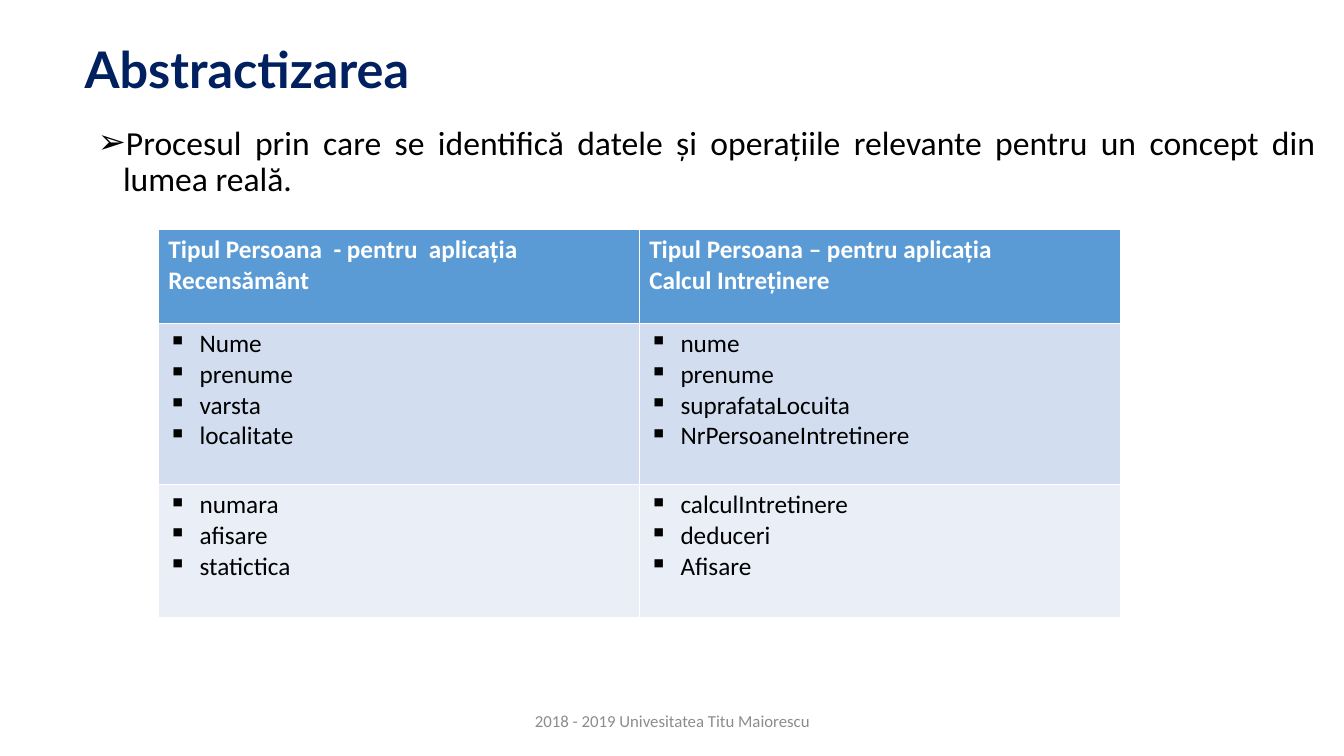
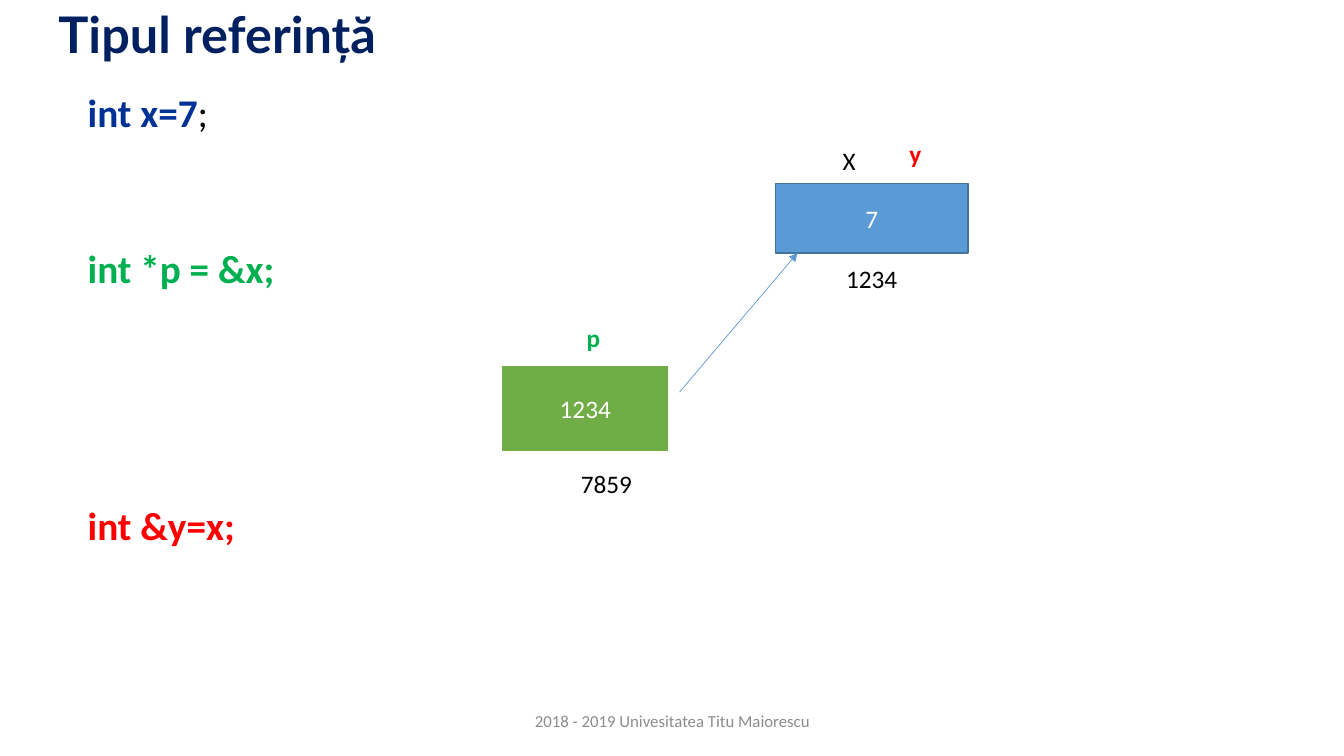
from lxml import etree
from pptx import Presentation
from pptx import util as u
from pptx.dml import color
from pptx.enum import shapes, text
from pptx.oxml import ns

PX = 9144
NAVY, BLUE, GREEN, RED = "002060", "5B9BD5", "00B050", "FF0000"
BLACK, WHITE, GRAY = "000000", "FFFFFF", "8C8C8C"
LEFT, MID, JUST = text.PP_ALIGN.LEFT, text.PP_ALIGN.CENTER, text.PP_ALIGN.JUSTIFY
TOP, HALF = text.MSO_ANCHOR.TOP, text.MSO_ANCHOR.MIDDLE
FOOT = "2018 - 2019 Univesitatea Titu Maiorescu"
CELLS = [
    [["Tipul Persoana  - pentru  aplicația Recensământ"],
     ["Tipul Persoana – pentru aplicația", "Calcul Intreținere"]],
    [["Nume", "prenume", "varsta", "localitate"],
     ["nume", "prenume", "suprafataLocuita", "NrPersoaneIntretinere"]],
    [["numara", "afisare", "statictica"],
     ["calculIntretinere", "deduceri", "Afisare"]],
]


def px(n):
    """Turn px into EMU."""
    return u.Emu(n * PX)


def rgb(tone):
    """Make a colour from a hex string."""
    return color.RGBColor.from_string(tone)


def sub(node, tag, **attrs):
    """Append a DrawingML element."""
    return etree.SubElement(node, ns.qn(tag), **attrs)


def write(frame, line, size=18, tone=BLACK, bold=False, face="Calibri",
          align=LEFT, lead=1.0, gap=0, mark=None, left=0, hang=0, join=False):
    """Add a paragraph, or join a run to the last one."""
    para = frame.paragraphs[-1]
    if not join:
        if para.runs:
            para = frame.add_paragraph()
        para.alignment, para.line_spacing = align, lead
        para.space_before = u.Pt(gap)
        props = para._p.get_or_add_pPr()
        props.set("marL", str(px(left)))
        props.set("indent", str(px(-hang)))
        if mark:
            sub(props, "a:buChar", char=mark)
        else:
            sub(props, "a:buNone")
    run = para.add_run()
    run.text = line
    font = run.font
    font.size, font.bold, font.name = u.Pt(size), bold, face
    font.color.rgb = rgb(tone)


def setup(shape, spot, anchor):
    """Place a shape and return its text frame."""
    shape.left, shape.top, shape.width, shape.height = map(px, spot)
    frame = shape.text_frame
    frame.word_wrap = True
    frame.auto_size = text.MSO_AUTO_SIZE.NONE
    frame.vertical_anchor = anchor
    return frame


def label(tree, spot, line, anchor=TOP, **style):
    """Add a text box."""
    box = tree.add_textbox(*map(px, spot))
    write(setup(box, spot, anchor), line, **style)


def block(tree, spot, line, fill, edge, width):
    """Add a filled rectangle with centred text."""
    rect = tree.add_shape(shapes.MSO_SHAPE.RECTANGLE, *map(px, spot))
    rect.shadow.inherit = False
    rect.fill.solid()
    rect.fill.fore_color.rgb = rgb(fill)
    rect.line.color.rgb = rgb(edge)
    rect.line.width = u.Pt(width)
    write(setup(rect, spot, HALF), line, tone=WHITE, align=MID)


def arrow(tree, start, end, tone):
    """Add a thin line with a head at its end."""
    line = tree.add_connector(shapes.MSO_CONNECTOR.STRAIGHT, *map(px, start + end))
    line.line.color.rgb = rgb(tone)
    line.line.width = u.Pt(0.5)
    sub(line.line._get_or_add_ln(), "a:tailEnd", type="triangle")
    sub(line._element.spPr, "a:effectLst")


def page(deck, name, head, body):
    """Add a slide with title and footer; return it and its body frame."""
    slide = deck.slides.add_slide(deck.slide_layouts[1])
    write(setup(slide.shapes.title, head, HALF), name, size=36, tone=NAVY,
          bold=True, face="Lato", lead=0.9)
    frame = setup(slide.placeholders[1], body, TOP)
    label(slide.shapes, (442, 695, 450, 40), FOOT, HALF,
          size=12, tone=GRAY, align=MID)
    return slide, frame


def grid(slide, spot, rows):
    """Add the table with a header row and bulleted cells."""
    table = slide.shapes.add_table(len(CELLS), len(CELLS[0]), *map(px, spot)).table
    for r, (tall, fill) in enumerate(rows):
        table.rows[r].height = px(tall)
        style = dict(mark="▪", left=31, hang=31) if r else dict(tone=WHITE, bold=True)
        for c, lines in enumerate(CELLS[r]):
            cell = table.cell(r, c)
            cell.fill.solid()
            cell.fill.fore_color.rgb = rgb(fill)
            for line in lines:
                write(cell.text_frame, line, **style)


def concept(deck):
    """Build the slide on abstraction."""
    slide, body = page(deck, "Abstractizarea", (74, 23, 940, 97), (37, 120, 1278, 569))
    write(body, "Procesul prin care se identifică datele și operațiile relevante "
          "pentru un concept din lumea reală.", size=24, align=JUST, lead=0.9,
          mark="➢", left=75, hang=25)
    grid(slide, (157, 228, 954, 385), [(93, BLUE), (160, "D2DEEF"), (132, "EAEFF7")])


def refs(deck):
    """Build the slide on references."""
    slide, body = page(deck, "Tipul referință", (48, -9, 1242, 92), (51, 92, 1150, 600))
    code = dict(size=28, align=JUST, lead=0.8, left=26)
    write(body, "int x=7", tone="003296", bold=True, **code)
    write(body, ";", size=28, join=True)
    write(body, "int *p = &x;", tone=GREEN, bold=True, gap=84, **code)
    write(body, "int &y=x;", tone=RED, bold=True, gap=157, **code)

    tree = slide.shapes.add_group_shape().shapes
    block(tree, (769, 182, 191, 69), "7", BLUE, "43739E", 1)
    label(tree, (826, 139, 68, 43), "X")
    label(tree, (791, 256, 147, 43), "1234", align=MID)
    block(tree, (497, 362, 167, 87), "1234", "70AD47", WHITE, 1.5)
    label(tree, (493, 315, 191, 43), "p", tone=GREEN, bold=True, align=MID)
    label(tree, (506, 460, 191, 43), "7859", align=MID)
    arrow(tree, (674, 389), (791, 251), BLUE)
    label(slide.shapes, (892, 132, 53, 40), "y", tone=RED, bold=True)


def main():
    """Build and save the deck."""
    deck = Presentation()
    deck.slide_width, deck.slide_height = px(1333), px(750)
    concept(deck)
    refs(deck)
    deck.save("out.pptx")


if __name__ == "__main__":
    main()
